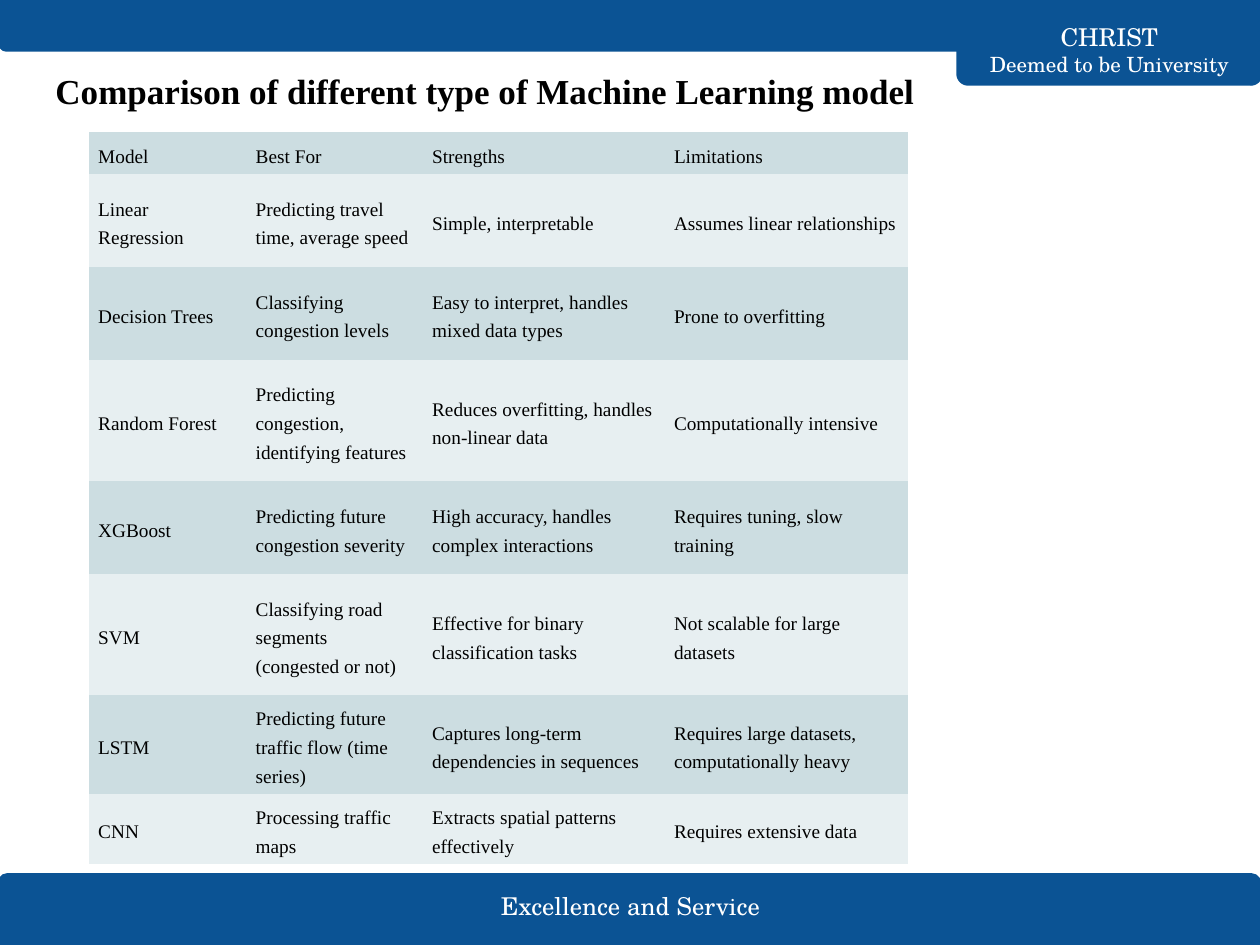
import pptx
import pptx.dml.color
import pptx.enum.shapes
import pptx.enum.text
import pptx.oxml.ns
import pptx.util

Inches = pptx.util.Inches
Pt = pptx.util.Pt
RGBColor = pptx.dml.color.RGBColor
PP_ALIGN = pptx.enum.text.PP_ALIGN
MSO_ANCHOR = pptx.enum.text.MSO_ANCHOR

BLUE = RGBColor(0x0B, 0x53, 0x94)
WHITE = RGBColor(0xFF, 0xFF, 0xFF)
BLACK = RGBColor(0x00, 0x00, 0x00)
ROW_FILLS = (RGBColor(0xCC, 0xDD, 0xE1), RGBColor(0xE7, 0xEF, 0xF1))

NO_GRID_STYLE = "{2D5ABB26-0587-4C30-8999-92F81FD0307C}"

COL_WIDTHS = (1.25, 1.4, 1.92, 1.93)
ROW_HEIGHTS = (0.31, 0.74, 0.74, 0.96, 0.74, 0.96, 0.74, 0.53)
MODELS = (
    ("Model", "Best For", "Strengths", "Limitations"),
    ("Linear Regression", "Predicting travel time, average speed",
     "Simple, interpretable", "Assumes linear relationships"),
    ("Decision Trees", "Classifying congestion levels",
     "Easy to interpret, handles mixed data types", "Prone to overfitting"),
    ("Random Forest", "Predicting congestion, identifying features",
     "Reduces overfitting, handles non-linear data",
     "Computationally intensive"),
    ("XGBoost", "Predicting future congestion severity",
     "High accuracy, handles complex interactions",
     "Requires tuning, slow training"),
    ("SVM", "Classifying road segments (congested or not)",
     "Effective for binary classification tasks",
     "Not scalable for large datasets"),
    ("LSTM", "Predicting future traffic flow (time series)",
     "Captures long-term dependencies in sequences",
     "Requires large datasets, computationally heavy"),
    ("CNN", "Processing traffic maps",
     "Extracts spatial patterns effectively", "Requires extensive data"),
)


class SlideBuilder:
    """Holds the style and the current slide."""

    title_font = {"name": "Times New Roman", "size": Pt(20), "bold": True}
    cell_font = {"name": "Times New Roman", "size": Pt(11), "bold": False}
    band_font = {"name": "TeX Gyre Schola"}
    box_margins = dict.fromkeys(
        ("margin_left", "margin_top", "margin_right", "margin_bottom"),
        Inches(0.1))
    cell_format = {
        "margin_left": Inches(0.07), "margin_right": Inches(0.07),
        "margin_top": Inches(0.05), "margin_bottom": Inches(0.05),
        "vertical_anchor": MSO_ANCHOR.MIDDLE}

    def __init__(self, prs):
        self.slide = prs.slides.add_slide(prs.slide_layouts[5])
        self.shapes = self.slide.shapes

    def apply(self, target, values):
        for name, value in values.items():
            setattr(target, name, value)

    def add_run(self, p, text, font, color):
        r = p.add_run()
        r.text = text
        self.apply(r.font, font)
        r.font.color.rgb = color

    def band(self, left, top, width, height, rotation=0):
        kind = pptx.enum.shapes.MSO_SHAPE.ROUND_2_SAME_RECTANGLE
        sp = self.shapes.add_shape(kind, Inches(left), Inches(top),
                                   Inches(width), Inches(height))
        sp.adjustments[0] = 0.125
        sp.adjustments[1] = 0
        sp.rotation = rotation
        sp.shadow.inherit = False
        sp.fill.solid()
        sp.fill.fore_color.rgb = BLUE
        sp.line.color.rgb = BLUE
        sp.line.width = Pt(1.5)

    def band_text(self, left, top, width, height, lines):
        sp = self.shapes.add_textbox(Inches(left), Inches(top),
                                     Inches(width), Inches(height))
        tf = sp.text_frame
        self.apply(tf, {**self.box_margins, "word_wrap": True,
                        "vertical_anchor": MSO_ANCHOR.MIDDLE})
        p = tf.paragraphs[0]
        p.alignment = PP_ALIGN.CENTER
        for i, (text, size) in enumerate(lines):
            if i:
                p.add_line_break()
            self.add_run(p, text, {**self.band_font, "size": Pt(size)}, WHITE)

    def title(self, left, top, width, height, text):
        sp = self.shapes.title
        self.apply(sp, {"left": Inches(left), "top": Inches(top),
                        "width": Inches(width), "height": Inches(height)})
        tf = sp.text_frame
        self.apply(tf, {**self.box_margins, "word_wrap": True,
                        "auto_size": pptx.enum.text.MSO_AUTO_SIZE.NONE,
                        "vertical_anchor": MSO_ANCHOR.TOP})
        p = tf.paragraphs[0]
        p.alignment = PP_ALIGN.LEFT
        self.add_run(p, text, self.title_font, BLACK)
        # Bring the title in front of the bands
        self.shapes._spTree.append(sp._element)

    def table(self, left, top, col_widths, row_heights, rows):
        frame = self.shapes.add_table(
            len(rows), len(col_widths), Inches(left), Inches(top),
            Inches(sum(col_widths)), Inches(sum(row_heights)))
        table = frame.table
        self.apply(table, {"first_row": False, "horz_banding": False})
        style = table._tbl.tblPr.find(pptx.oxml.ns.qn("a:tableStyleId"))
        style.text = NO_GRID_STYLE
        for column, width in zip(table.columns, col_widths):
            column.width = Inches(width)
        for i, (row, height) in enumerate(zip(table.rows, row_heights)):
            row.height = Inches(height)
            for cell, text in zip(row.cells, rows[i]):
                self.apply(cell, self.cell_format)
                cell.fill.solid()
                cell.fill.fore_color.rgb = ROW_FILLS[i % 2]
                p = cell.text_frame.paragraphs[0]
                p.line_spacing = Pt(16.4)
                self.add_run(p, text, self.cell_font, BLACK)


def main():
    prs = pptx.Presentation()
    prs.slide_width = Inches(10)
    prs.slide_height = Inches(7.5)
    s = SlideBuilder(prs)

    # Footer band
    s.band(-0.01, 6.94, 10.01, 0.56)
    s.band_text(3.66, 7.03, 2.69, 0.32, [("Excellence and Service", 14)])

    # Header band with the university tab
    s.band(7.6, 0, 2.41, 0.67, rotation=180)
    s.band(0, 0, 10.01, 0.4, rotation=180)
    s.band_text(7.6, 0.27, 2.41, 0.25,
                [("CHRIST", 14), ("Deemed to be University", 12)])

    # Title and comparison table
    s.title(0.34, 0.45, 9.32, 0.6,
            "Comparison of different type of Machine Learning model")
    s.table(0.71, 1.05, COL_WIDTHS, ROW_HEIGHTS, MODELS)

    prs.save("out.pptx")


if __name__ == "__main__":
    main()
